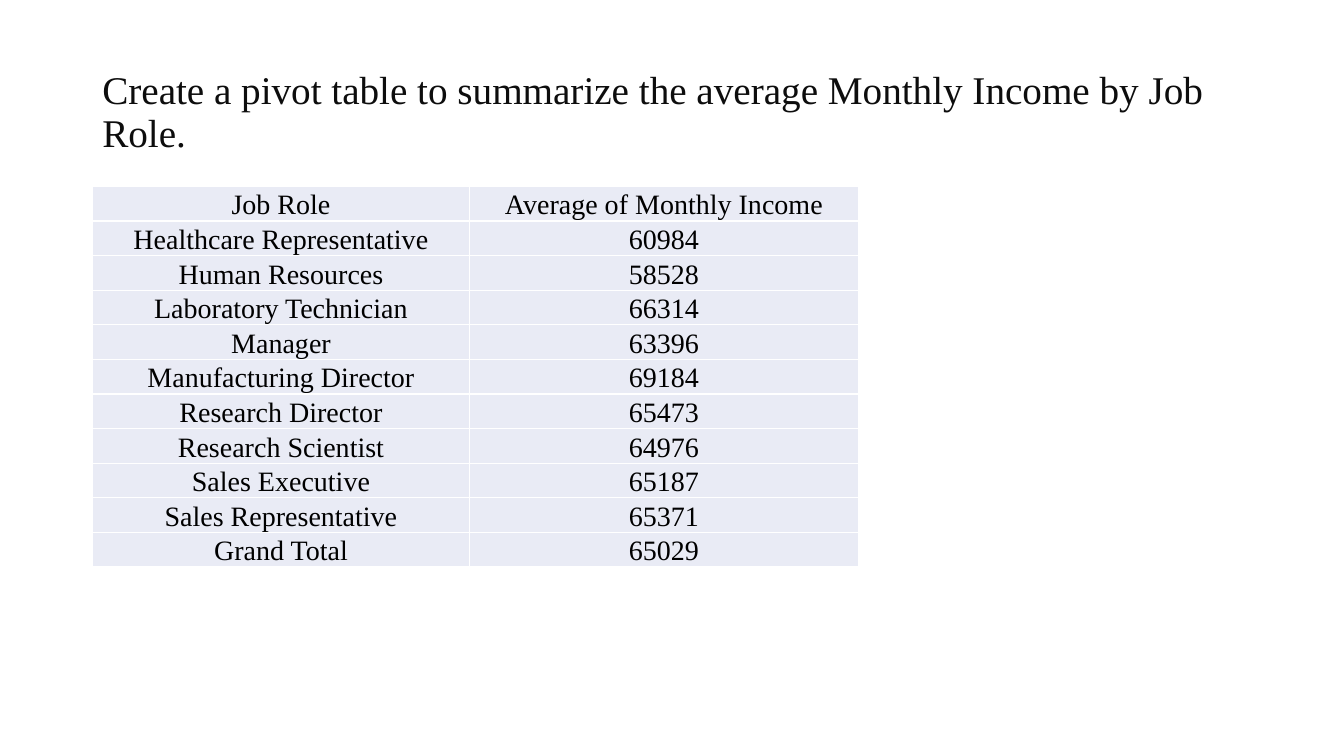
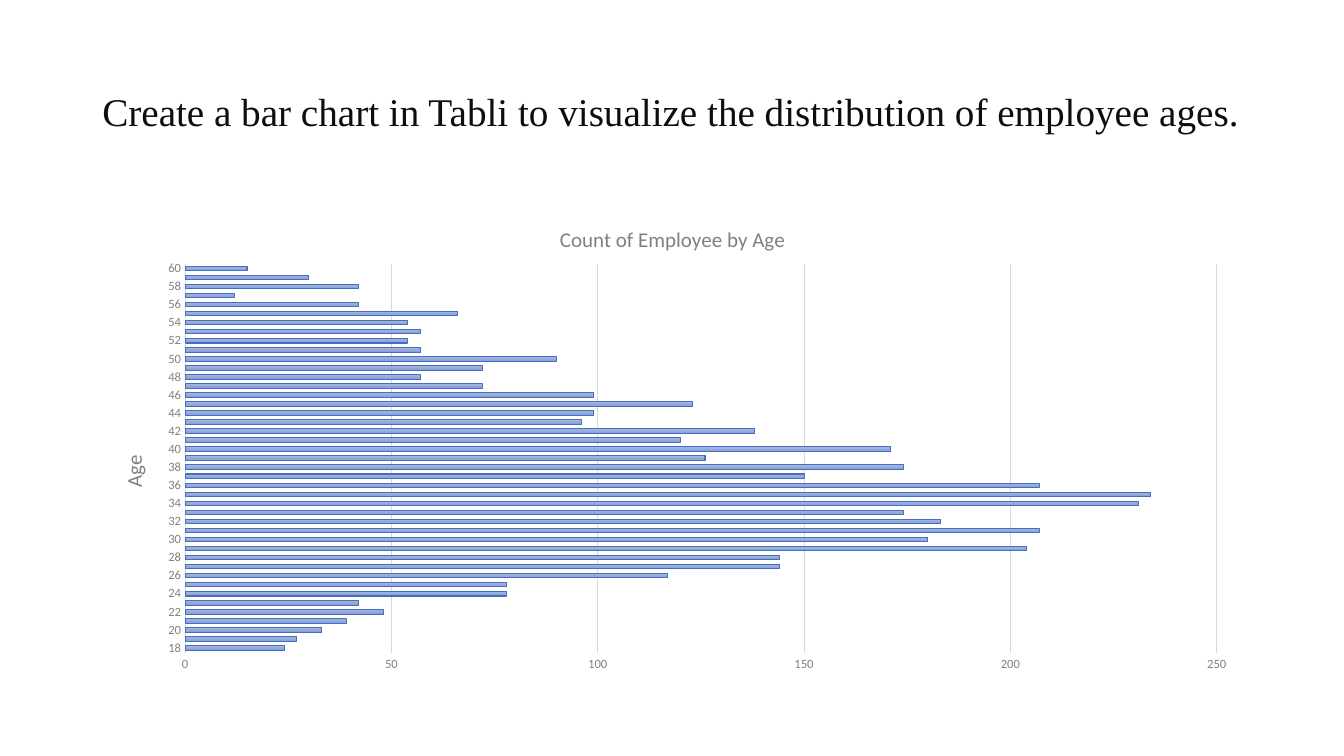
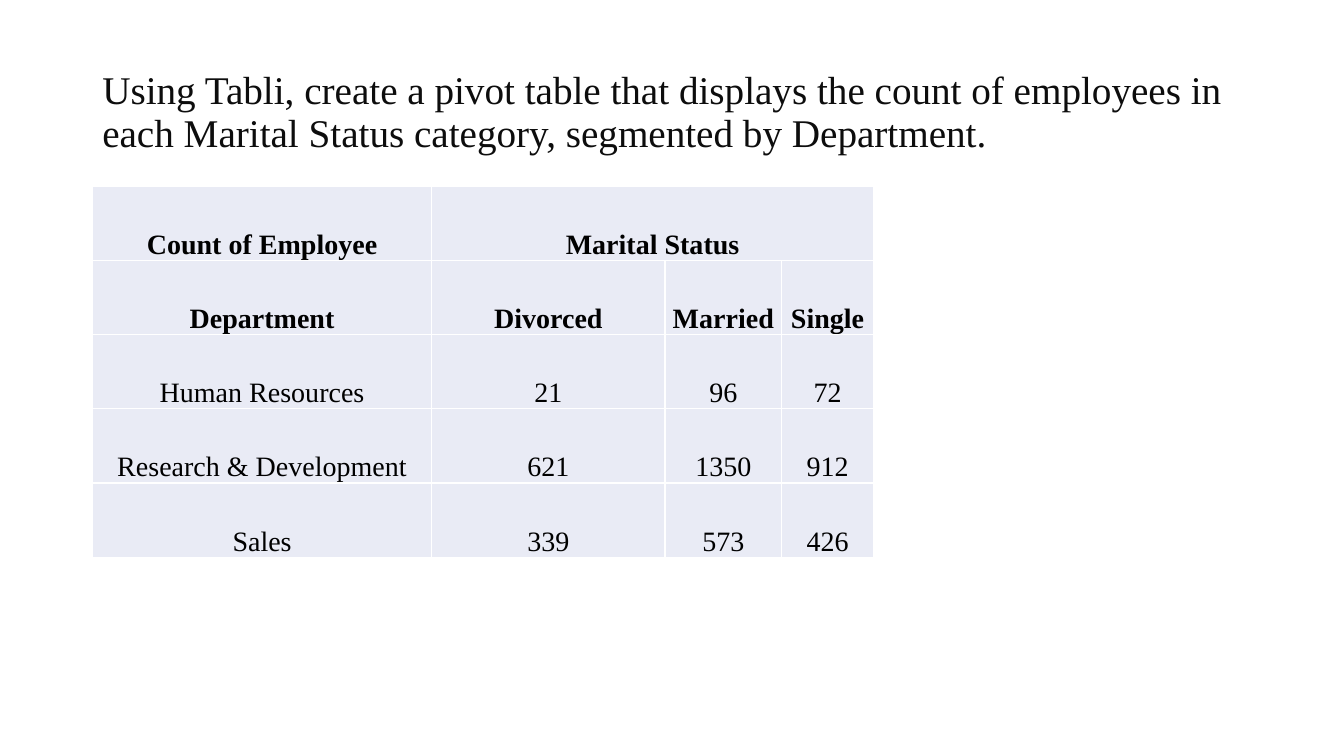
from dataclasses import dataclass

from lxml.etree import SubElement
from pptx import Presentation
from pptx.chart.data import CategoryChartData
from pptx.dml.color import RGBColor
from pptx.enum.chart import XL_CHART_TYPE, XL_TICK_LABEL_POSITION, XL_TICK_MARK
from pptx.enum.text import MSO_ANCHOR, PP_ALIGN
from pptx.oxml import parse_xml
from pptx.oxml.ns import nsdecls, qn
from pptx.util import Pt

INCOME_TITLE = "Create a pivot table to summarize the average Monthly Income by Job Role."
INCOME_ROWS = [
    ("Job Role", "Average of Monthly Income"),
    ("Healthcare Representative", 60984),
    ("Human Resources", 58528),
    ("Laboratory Technician", 66314),
    ("Manager", 63396),
    ("Manufacturing Director", 69184),
    ("Research Director", 65473),
    ("Research Scientist", 64976),
    ("Sales Executive", 65187),
    ("Sales Representative", 65371),
    ("Grand Total", 65029),
]

AGE_TITLE = "Create a bar chart in Tabli to visualize the distribution of employee ages."
AGE_CHART_TITLE = "Count of Employee by Age"
AGE_AXIS_TITLE = "Age"
FIRST_AGE = 18
AGE_COUNTS = [
    24, 27, 33, 39, 48, 42, 78, 78, 117, 144, 144, 204, 180, 207, 183,
    174, 231, 234, 207, 150, 174, 126, 171, 120, 138, 96, 99, 123, 99,
    72, 57, 72, 90, 57, 54, 57, 54, 66, 42, 12, 42, 30, 15,
]

MARITAL_TITLE = (
    "Using Tabli, create a pivot table that displays the count of employees "
    "in each Marital Status category, segmented by Department."
)
MARITAL_ROWS = [
    ("Count of Employee", "Marital Status", None, None),
    ("Department", "Divorced", "Married", "Single"),
    ("Human Resources", 21, 96, 72),
    ("Research & Development", 621, 1350, 912),
    ("Sales", 339, 573, 426),
]


@dataclass(frozen=True)
class Theme:
    serif: str = "Times New Roman"
    sans: str = "Calibri"
    title_color: str = "0D0D0D"
    cell_color: str = "000000"
    cell_fill: str = "E9EBF5"
    cell_border: str = "FFFFFF"
    chart_color: str = "808080"
    grid_color: str = "D9D9D9"
    bar_line: str = "436FC0"
    bar_top: str = "A8B7DF"
    bar_bottom: str = "889ED7"
    title_size: float = 28
    cell_size: float = 20
    chart_title_size: float = 15
    label_size: float = 9


THEME = Theme()
LEFT, WIDTH = 66, 828
TITLE_TOP, TITLE_HEIGHT = 28.75, 104.4
TABLE_TOP = 133.1
CHART_TOP, CHART_HEIGHT = 144, 342.7


def rgb(value):
    return RGBColor.from_string(value)


def apply(target, **formats):
    for attribute, value in formats.items():
        setattr(target, attribute, value)


def style_font(font, name, size, color, bold=False):
    apply(font, name=name, size=Pt(size), bold=bold)
    font.color.rgb = rgb(color)


def style_line(line, color):
    line.color.rgb = rgb(color)
    line.width = Pt(0.75)


def add_titled_slide(deck, title):
    slide = deck.slides.add_slide(deck.slide_layouts[6])
    box = slide.shapes.add_textbox(Pt(LEFT), Pt(TITLE_TOP), Pt(WIDTH), Pt(TITLE_HEIGHT))
    apply(box.text_frame, word_wrap=True, vertical_anchor=MSO_ANCHOR.MIDDLE, text=title)
    paragraph = box.text_frame.paragraphs[0]
    paragraph.line_spacing = 0.9
    style_font(paragraph.runs[0].font, THEME.serif, THEME.title_size, THEME.title_color)
    return slide


def style_cell(cell, bold):
    apply(cell, vertical_anchor=MSO_ANCHOR.BOTTOM, margin_left=Pt(0.7),
          margin_right=Pt(0.7), margin_top=Pt(0.7), margin_bottom=0)
    cell.fill.solid()
    cell.fill.fore_color.rgb = rgb(THEME.cell_fill)
    properties = cell._tc.get_or_add_tcPr()
    for position, side in enumerate(("lnL", "lnR", "lnT", "lnB")):
        properties.insert(position, parse_xml(
            f'<a:{side} {nsdecls("a")} w="{Pt(1)}"><a:solidFill>'
            f'<a:srgbClr val="{THEME.cell_border}"/></a:solidFill></a:{side}>'))
    paragraph = cell.text_frame.paragraphs[0]
    paragraph.alignment = PP_ALIGN.CENTER
    style_font(paragraph.font, THEME.serif, THEME.cell_size, THEME.cell_color, bold)


def add_pivot(slide, rows, widths, row_height, bold_rows=0):
    pivot = slide.shapes.add_table(
        len(rows), len(widths), Pt(LEFT), Pt(TABLE_TOP),
        Pt(sum(widths)), Pt(row_height * len(rows))).table
    apply(pivot, first_row=False, horz_banding=False)
    for column, width in zip(pivot.columns, widths):
        column.width = Pt(width)
    for r, values in enumerate(rows):
        pivot.rows[r].height = Pt(row_height)
        for c, value in enumerate(values):
            cell = pivot.cell(r, c)
            if value is not None:
                cell.text = str(value)
            style_cell(cell, r < bold_rows)
    return pivot


def place(element, **fractions):
    layout = element.find(qn("c:layout"))
    if layout is None:
        layout = parse_xml(f'<c:layout {nsdecls("c")}/>')
        text = element.find(qn("c:tx"))
        element.insert(0 if text is None else 1, layout)
    for child in list(layout):
        layout.remove(child)
    manual = SubElement(layout, qn("c:manualLayout"))
    if "w" in fractions:
        SubElement(manual, qn("c:layoutTarget")).set("val", "inner")
    for key in ("xMode", "yMode"):
        SubElement(manual, qn(f"c:{key}")).set("val", "edge")
    for key, fraction in fractions.items():
        SubElement(manual, qn(f"c:{key}")).set("val", str(fraction))


def add_chart_text(title, text, x, y):
    title.text_frame.text = text
    font = title.text_frame.paragraphs[0].runs[0].font
    style_font(font, THEME.sans, THEME.chart_title_size, THEME.chart_color)
    place(title._element, x=x, y=y)


def add_age_chart(slide):
    data = CategoryChartData()
    data.categories = [str(FIRST_AGE + i) for i in range(len(AGE_COUNTS))]
    data.add_series("Series 1", AGE_COUNTS)
    chart = slide.shapes.add_chart(
        XL_CHART_TYPE.BAR_CLUSTERED, Pt(LEFT), Pt(CHART_TOP),
        Pt(WIDTH), Pt(CHART_HEIGHT), data).chart
    apply(chart, has_legend=False, has_title=True)
    style_font(chart.font, THEME.sans, THEME.label_size, THEME.chart_color)
    add_chart_text(chart.chart_title, AGE_CHART_TITLE, 0.4, 0.04)
    place(chart._chartSpace.chart.plotArea, x=0.08, y=0.13, w=0.89, h=0.81)

    ages, counts = chart.category_axis, chart.value_axis
    for axis in (ages, counts):
        apply(axis, major_tick_mark=XL_TICK_MARK.NONE, minor_tick_mark=XL_TICK_MARK.NONE,
              tick_label_position=XL_TICK_LABEL_POSITION.NEXT_TO_AXIS)
        style_font(axis.tick_labels.font, THEME.sans, THEME.label_size, THEME.chart_color)
    style_line(ages.format.line, THEME.grid_color)
    apply(ages, has_major_gridlines=False, has_title=True)
    add_chart_text(ages.axis_title, AGE_AXIS_TITLE, 0.02, 0.52)
    ages.axis_title.text_frame._txBody.find(qn("a:bodyPr")).set("rot", "-5400000")
    apply(counts, minimum_scale=0, maximum_scale=250, major_unit=50,
          has_major_gridlines=True)
    counts.format.line.fill.background()
    style_line(counts.major_gridlines.format.line, THEME.grid_color)

    plot = chart.plots[0]
    apply(plot, gap_width=100, vary_by_categories=False)
    bars = plot.series[0]
    bars.invert_if_negative = False
    bars.format.fill.gradient()
    bars.format.fill.gradient_angle = 270
    for stop, color in zip(bars.format.fill.gradient_stops, (THEME.bar_top, THEME.bar_bottom)):
        stop.color.rgb = rgb(color)
    style_line(bars.format.line, THEME.bar_line)


def main():
    deck = Presentation()
    apply(deck, slide_width=Pt(960), slide_height=Pt(540))
    add_pivot(add_titled_slide(deck, INCOME_TITLE), INCOME_ROWS, (269.5, 277.5), 24.05)
    add_age_chart(add_titled_slide(deck, AGE_TITLE))
    marital = add_pivot(add_titled_slide(deck, MARITAL_TITLE), MARITAL_ROWS,
                        (242.5, 166.5, 83.5, 65.5), 53, bold_rows=2)
    marital.cell(0, 1).merge(marital.cell(0, 3))
    deck.save("out.pptx")


if __name__ == "__main__":
    main()
